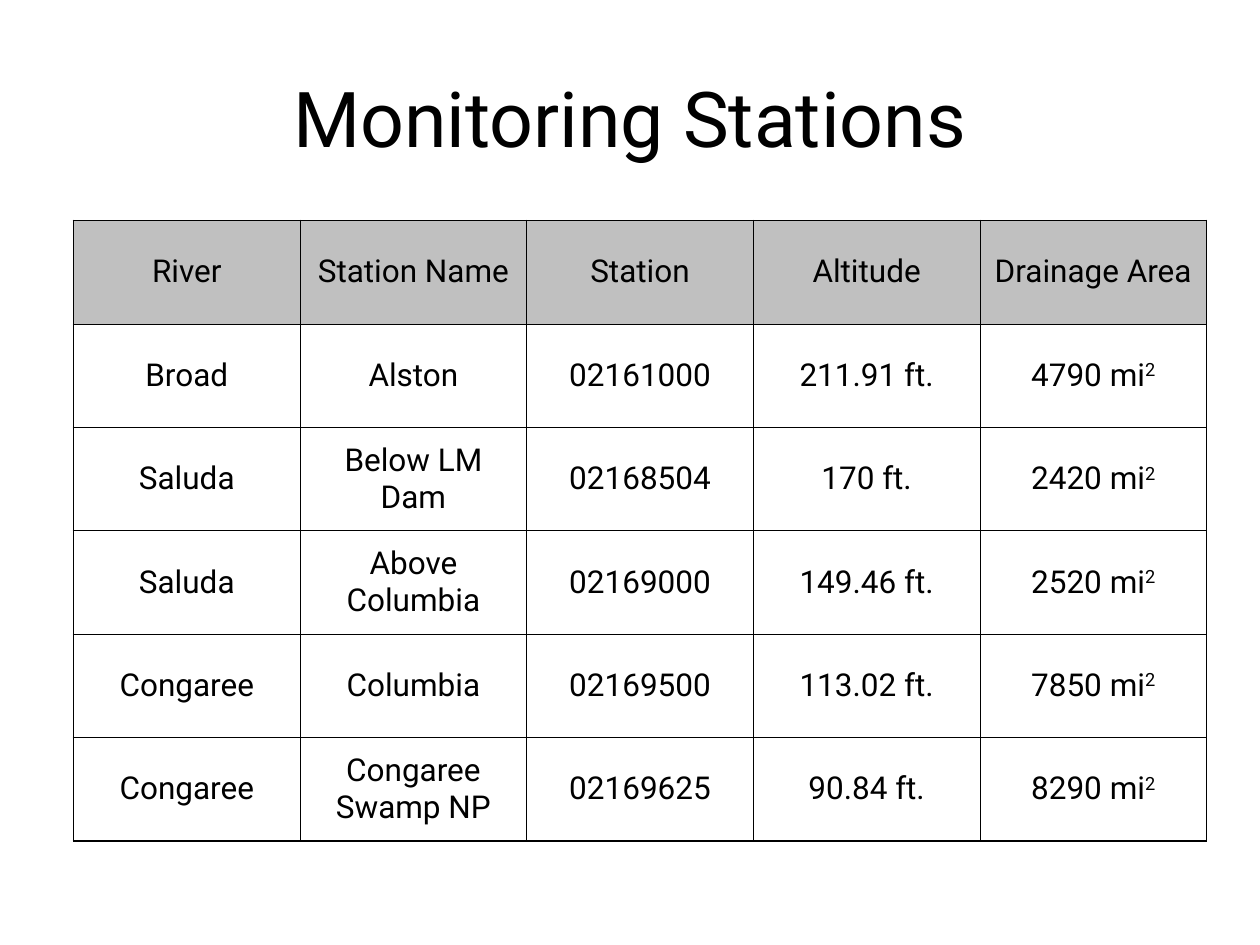
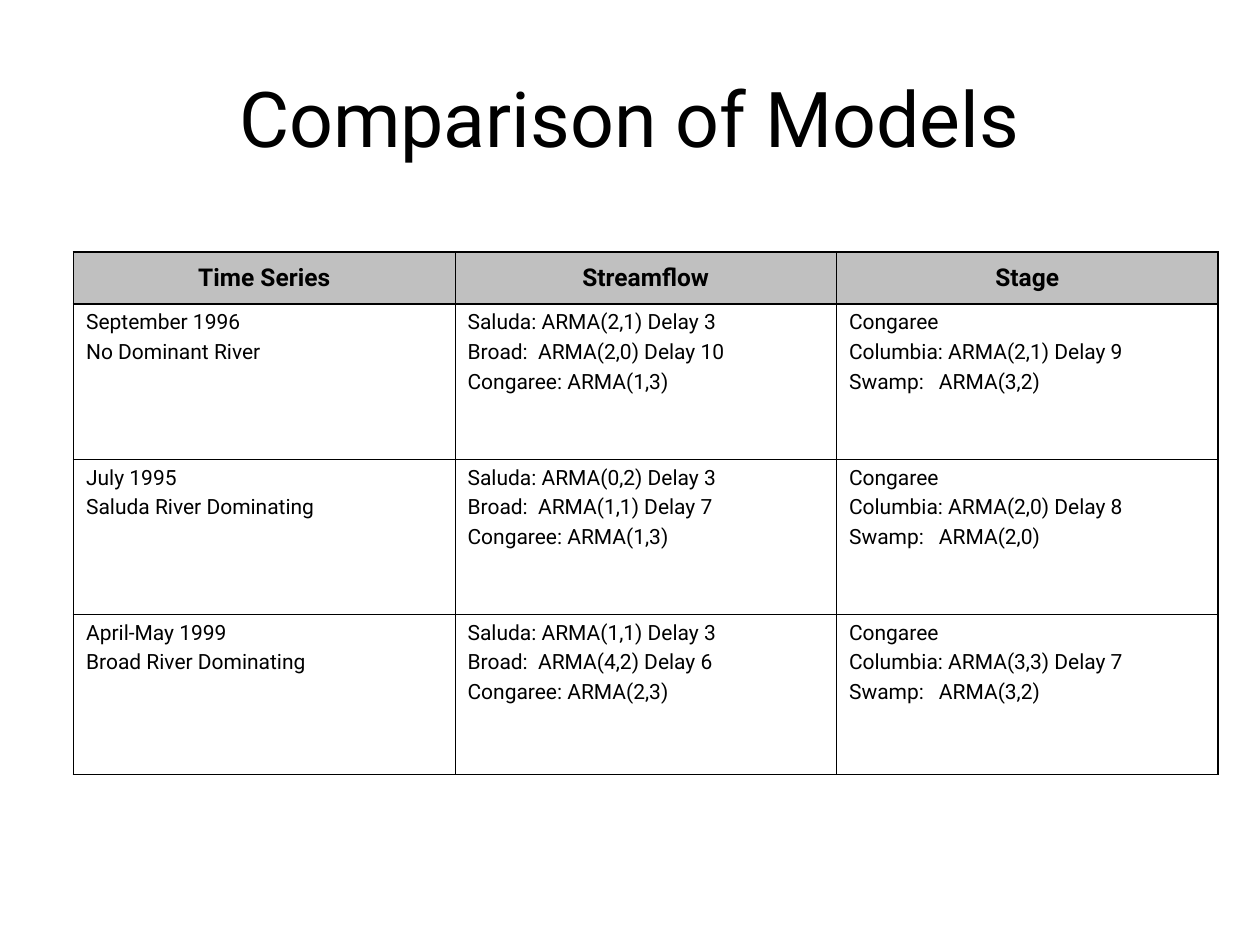
from lxml.etree import SubElement
from pptx import Presentation
from pptx.dml.color import RGBColor
from pptx.enum.text import MSO_ANCHOR, PP_ALIGN
from pptx.oxml.ns import qn
from pptx.util import Pt

BLACK = RGBColor(0x00, 0x00, 0x00)
HEADER_GRAY = RGBColor(0xC0, 0xC0, 0xC0)
FONT_NAME = "Roboto"
THIN, THICK = Pt(0.45), Pt(1.08)

STATIONS = [
    ["River", "Station Name", "Station", "Altitude", "Drainage Area"],
    ["Broad", "Alston", "02161000", "211.91 ft.", "4790 mi^2"],
    ["Saluda", "Below LM Dam", "02168504", "170 ft.", "2420 mi^2"],
    ["Saluda", "Above Columbia", "02169000", "149.46 ft.", "2520 mi^2"],
    ["Congaree", "Columbia", "02169500", "113.02 ft.", "7850 mi^2"],
    ["Congaree", "Congaree Swamp NP", "02169625", "90.84 ft.", "8290 mi^2"],
]

MODELS = [
    ["Time Series", "Streamflow", "Stage"],
    ["September 1996\nNo Dominant River",
     "Saluda: ARMA(2,1) Delay 3\nBroad:\tARMA(2,0) Delay 10\nCongaree: ARMA(1,3)",
     "Congaree\nColumbia: ARMA(2,1) Delay 9\nSwamp:\tARMA(3,2)"],
    ["July 1995\nSaluda River Dominating",
     "Saluda: ARMA(0,2) Delay 3\nBroad:\tARMA(1,1) Delay 7\nCongaree: ARMA(1,3)",
     "Congaree\nColumbia: ARMA(2,0) Delay 8\nSwamp:\tARMA(2,0)"],
    ["April-May 1999\nBroad River Dominating",
     "Saluda: ARMA(1,1) Delay 3\nBroad:\tARMA(4,2) Delay 6\nCongaree: ARMA(2,3)",
     "Congaree\nColumbia: ARMA(3,3) Delay 7\nSwamp:\tARMA(3,2)"],
]

TABLE_SLIDES = [
    {"title": "Monitoring Stations", "rows": STATIONS, "top": 126,
     "column_width": 129.5, "row_heights": [59.1] * 6,
     "header_size": 18, "header_bold": False, "header_rule": THIN,
     "body_size": 18, "body_align": PP_ALIGN.CENTER,
     "body_anchor": MSO_ANCHOR.MIDDLE, "tab_stops": {}},
    {"title": "Comparison of Models", "rows": MODELS, "top": 144,
     "column_width": 218, "row_heights": [29.6, 88.8, 88.6, 91.7],
     "header_size": 14, "header_bold": True, "header_rule": THICK,
     "body_size": 12, "body_align": PP_ALIGN.LEFT,
     "body_anchor": MSO_ANCHOR.TOP, "tab_stops": {1: 40.3, 2: 51.4}},
]


def style_paragraph(paragraph, size, align, bold=False):
    paragraph.alignment = align
    paragraph.font.name = FONT_NAME
    paragraph.font.size = Pt(size)
    paragraph.font.bold = bold
    paragraph.font.color.rgb = BLACK


def set_borders(cell, left, right, top, bottom):
    properties = cell._tc.get_or_add_tcPr()
    for side, width in zip("LRTB", (left, right, top, bottom)):
        line = SubElement(properties, qn(f"a:ln{side}"), w=str(width))
        fill = SubElement(line, qn("a:solidFill"))
        SubElement(fill, qn("a:srgbClr"), val=str(BLACK))


presentation = Presentation()
presentation.slide_width = Pt(720)
presentation.slide_height = Pt(540)

for content in TABLE_SLIDES:
    slide = presentation.slides.add_slide(presentation.slide_layouts[6])

    title = slide.shapes.add_textbox(Pt(36), Pt(21.6), Pt(648), Pt(90))
    title.text_frame.word_wrap = True
    title.text_frame.vertical_anchor = MSO_ANCHOR.MIDDLE
    title.text_frame.text = content["title"]
    style_paragraph(title.text_frame.paragraphs[0], 44, PP_ALIGN.CENTER)

    rows, heights = content["rows"], content["row_heights"]
    last_row, last_column = len(rows) - 1, len(rows[0]) - 1
    width = content["column_width"]
    table = slide.shapes.add_table(
        len(rows), len(rows[0]), Pt(42), Pt(content["top"]),
        Pt(width * len(rows[0])), Pt(sum(heights))).table
    table.first_row = False
    table.horz_banding = False
    for column in table.columns:
        column.width = Pt(width)

    for row_index, row in enumerate(rows):
        table.rows[row_index].height = Pt(heights[row_index])
        is_header = row_index == 0
        for column_index, text in enumerate(row):
            cell = table.cell(row_index, column_index)
            set_borders(
                cell,
                THICK if column_index == 0 else THIN,
                THICK if column_index == last_column else THIN,
                THICK if is_header else content["header_rule"] if row_index == 1 else THIN,
                THICK if row_index == last_row else content["header_rule"] if is_header else THIN)
            if is_header:
                cell.fill.solid()
                cell.fill.fore_color.rgb = HEADER_GRAY
                size, align = content["header_size"], PP_ALIGN.CENTER
                cell.vertical_anchor = MSO_ANCHOR.MIDDLE
            else:
                cell.fill.background()
                size, align = content["body_size"], content["body_align"]
                cell.vertical_anchor = content["body_anchor"]

            for line_index, line_text in enumerate(text.split("\n")):
                if line_index == 0:
                    paragraph = cell.text_frame.paragraphs[0]
                else:
                    paragraph = cell.text_frame.add_paragraph()
                    paragraph.space_before = Pt(3)
                base, _, exponent = line_text.partition("^")
                paragraph.add_run().text = base
                if exponent:
                    superscript = paragraph.add_run()
                    superscript.text = exponent
                    superscript._r.get_or_add_rPr().set("baseline", "30000")
                if "\t" in line_text:
                    tabs = SubElement(paragraph._p.get_or_add_pPr(), qn("a:tabLst"))
                    position = Pt(content["tab_stops"][column_index])
                    SubElement(tabs, qn("a:tab"), pos=str(position), algn="l")
                style_paragraph(paragraph, size, align, is_header and content["header_bold"])

presentation.save("out.pptx")
